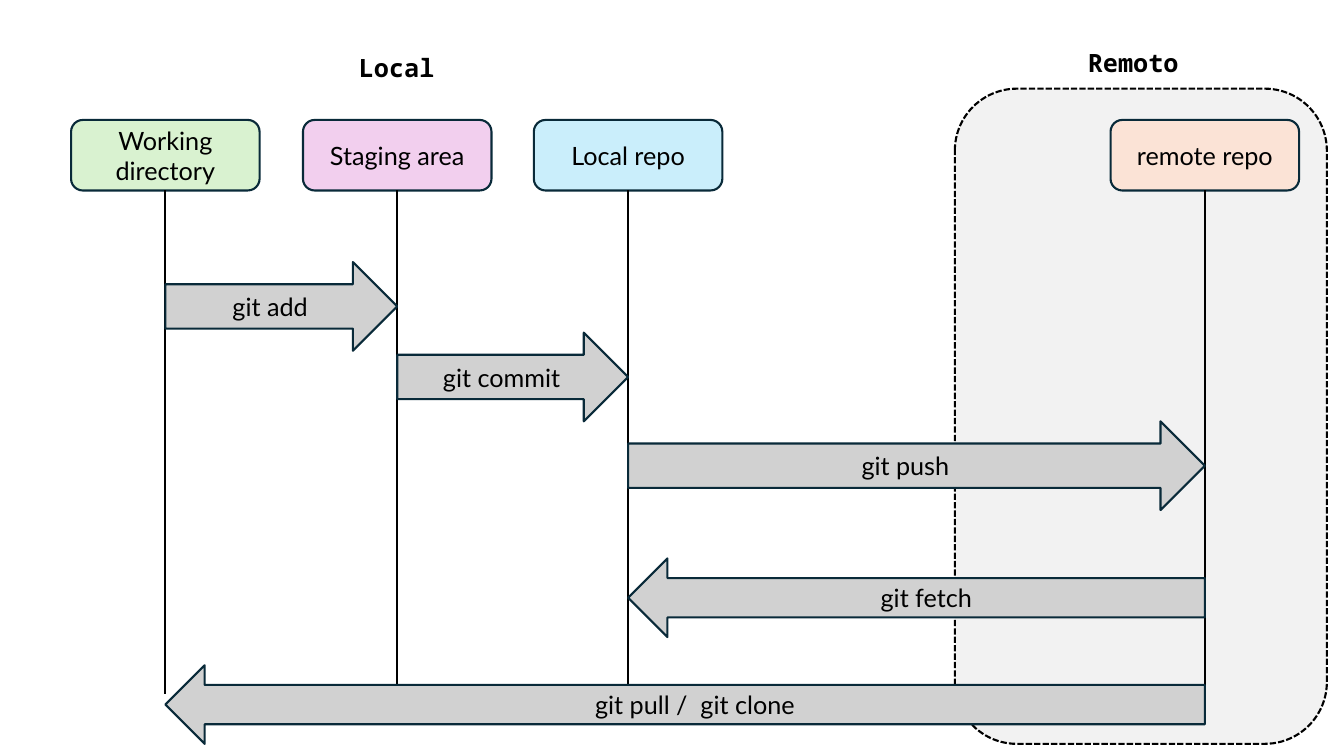
from dataclasses import dataclass

from pptx import Presentation
from pptx.dml.color import RGBColor
from pptx.enum.dml import MSO_LINE
from pptx.enum.shapes import MSO_CONNECTOR, MSO_SHAPE as Preset
from pptx.enum.text import MSO_ANCHOR, PP_ALIGN
from pptx.oxml.ns import qn
from pptx.util import Inches, Pt

# Content: zone titles (text, left, top, width)
TITLES = [("Local", 3.46, 0.47, 1.22), ("Remoto", 10.69, 0.42, 1.25)]

# Lanes: name, centre x, fill
LANES = [
    ("Working directory", 1.64, "D9F2D0"),
    ("Staging area", 3.94, "F2CFEE"),
    ("Local repo", 6.23, "CAEEFB"),
    ("remote repo", 11.95, "FBE3D6"),
]

# Commands: text, source lane, target lane, top, height
COMMANDS = [
    ("git add", 0, 1, 2.6, 0.88),
    ("git commit", 1, 2, 3.3, 0.88),
    ("git push", 2, 3, 4.18, 0.88),
    ("git fetch", 3, 2, 5.54, 0.78),
    ("git pull /  git clone", 3, 0, 6.6, 0.78),
]

REMOTE_ZONE = (9.47, 0.88, 3.69, 6.5)
LANE_TOP, LANE_WIDTH, LANE_HEIGHT = 1.19, 1.87, 0.7
LIFELINE_END = 6.89


@dataclass(frozen=True)
class Theme:
    text: str = "000000"
    outline: str = "092A39"
    zone: str = "F2F2F2"
    arrow: str = "D1D1D1"
    body_font: str = "Lato"
    title_font: str = "Noto Sans Mono"
    size: float = 18
    line: float = 1.5


THEME = Theme()


def color(value):
    return RGBColor.from_string(value)


def write(shape, text, font, bold=False, align=PP_ALIGN.LEFT):
    frame = shape.text_frame
    frame.text = text
    frame.word_wrap = True
    para = frame.paragraphs[0]
    para.alignment = align
    for span in para.runs:
        span.font.name = font
        span.font.size = Pt(THEME.size)
        span.font.bold = bold
        span.font.color.rgb = color(THEME.text)


def draw_line(line, value):
    line.color.rgb = color(value)
    line.width = Pt(THEME.line)


def add_box(page, preset, place, fill, outline, text=None):
    box = page.shapes.add_shape(preset, *map(Inches, place))
    box.shadow.inherit = False
    box.fill.solid()
    box.fill.fore_color.rgb = color(fill)
    draw_line(box.line, outline)
    if text:
        write(box, text, THEME.body_font, align=PP_ALIGN.CENTER)
        box.text_frame.vertical_anchor = MSO_ANCHOR.MIDDLE
    return box


def main():
    deck = Presentation()
    deck.slide_width, deck.slide_height = Inches(13.33), Inches(7.5)
    page = deck.slides.add_slide(deck.slide_layouts[6])

    # Remote zone
    zone = add_box(page, Preset.ROUNDED_RECTANGLE, REMOTE_ZONE, THEME.zone, THEME.text)
    zone.line.dash_style = MSO_LINE.SQUARE_DOT

    # Zone titles
    for text, left, top, width in TITLES:
        title = page.shapes.add_textbox(*map(Inches, (left, top, width, 0.4)))
        write(title, text, THEME.title_font, bold=True)

    # Lane boxes
    boxes = []
    for name, center, fill in LANES:
        place = (center - LANE_WIDTH / 2, LANE_TOP, LANE_WIDTH, LANE_HEIGHT)
        boxes.append(add_box(page, Preset.ROUNDED_RECTANGLE, place, fill, THEME.outline, name))

    # Lifelines hanging from the lane boxes
    for box, (_, center, _) in zip(boxes, LANES):
        x = Inches(center)
        lifeline = page.shapes.add_connector(
            MSO_CONNECTOR.STRAIGHT, x, Inches(LANE_TOP + LANE_HEIGHT), x, Inches(LIFELINE_END))
        lifeline.begin_connect(box, 2)
        lifeline.end_x = lifeline.begin_x
        draw_line(lifeline.line, THEME.text)
        properties = lifeline._element.spPr
        properties.append(properties.makeelement(qn("a:effectLst"), {}))

    # Command arrows between lifelines
    for text, source, target, top, height in COMMANDS:
        start, end = LANES[source][1], LANES[target][1]
        preset = Preset.RIGHT_ARROW if end > start else Preset.LEFT_ARROW
        place = (min(start, end), top, abs(end - start), height)
        add_box(page, preset, place, THEME.arrow, THEME.outline, text)

    deck.save("out.pptx")


if __name__ == "__main__":
    main()
